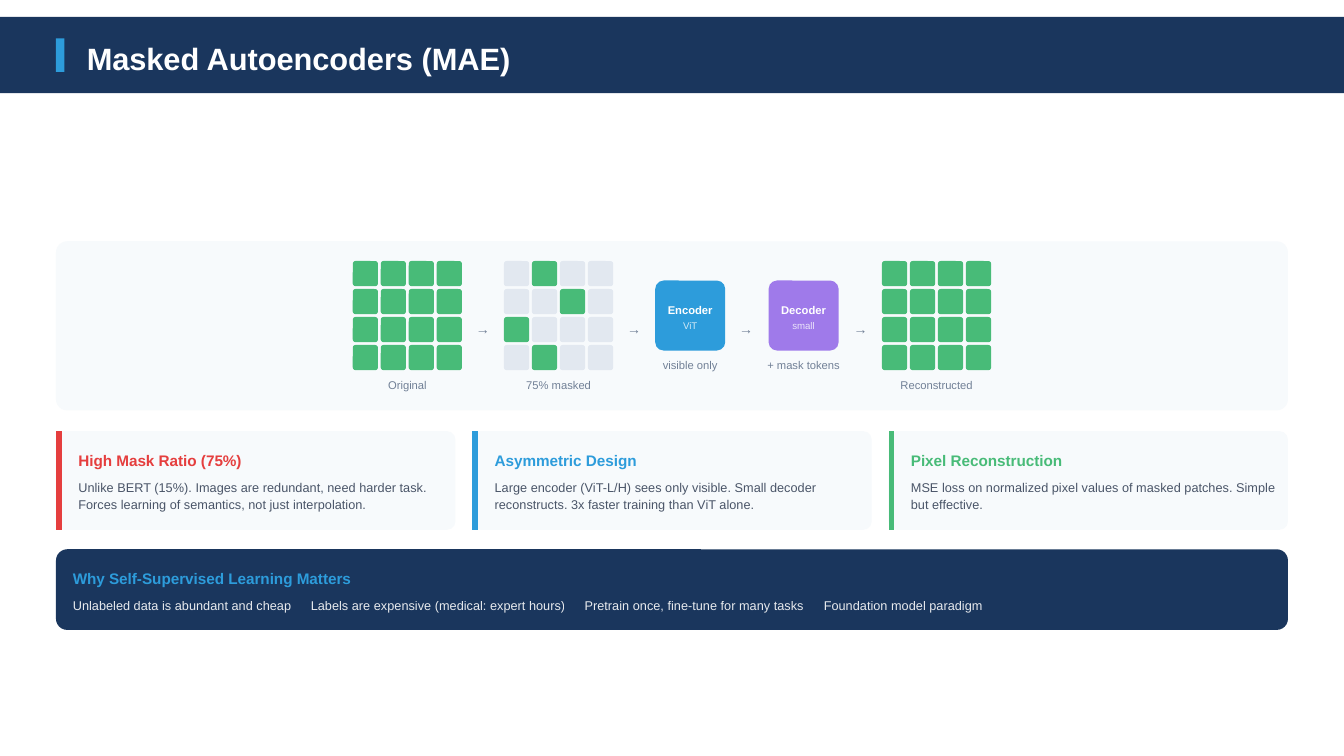
from lxml import etree
from pptx import Presentation
from pptx import util as u
from pptx.dml.color import RGBColor
from pptx.enum import shapes, text
from pptx.oxml import ns

COLS, ROWS = 240, 135
INK = dict(navy="1A365D", blue="2D9CDB", green="48BB78", red="E53E3E",
           violet="9F7AEA", pale="F7FAFC", blank="E2E8F0", gray="718096",
           slate="4A5568", white="FFFFFF")
HEAD = dict(size=8.2, bold=True)
BODY = dict(size=6.8)
NOTE = dict(size=6)

deck = Presentation()
deck.slide_width, deck.slide_height = u.Inches(10), u.Inches(5.625)
unit = deck.slide_width / COLS
slide = deck.slides.add_slide(deck.slide_layouts[6])
items = slide.shapes


def box(x, y, w, h, ink, round=0):
    """Add a plain filled block; round is the corner radius in grid units."""
    kind = shapes.MSO_SHAPE.ROUNDED_RECTANGLE if round else shapes.MSO_SHAPE.RECTANGLE
    block = items.add_shape(kind, *[int(n * unit) for n in (x, y, w, h)])
    if round:
        block.adjustments[0] = round / min(w, h)
    block.shadow.inherit = False
    block.fill.solid()
    block.fill.fore_color.rgb = RGBColor.from_string(INK[ink])
    block.line.fill.background()


def write(words, x, y, w, h, ink, lead, style, mid=False, alpha=None):
    """Add text; lead is line spacing in points, mid centres it on x."""
    left = x - w / 2 if mid else x
    area = items.add_textbox(*[int(n * unit) for n in (left, y, w, h)])
    frame = area.text_frame
    for name, value in dict(margin_left=0, margin_right=0, margin_top=0,
                            margin_bottom=0, word_wrap=True).items():
        setattr(frame, name, value)
    line = frame.paragraphs[0]
    line.alignment = text.PP_ALIGN.CENTER if mid else text.PP_ALIGN.LEFT
    line.line_spacing = u.Pt(lead)
    run = line.add_run()
    run.text = words
    for name, value in dict(style, name="Arial").items():
        setattr(run.font, name, u.Pt(value) if name == "size" else value)
    run.font.color.rgb = RGBColor.from_string(INK[ink])
    if alpha:
        tone = run.font.fill._xPr.find(ns.qn("a:solidFill"))[0]
        etree.SubElement(tone, ns.qn("a:alpha"), val=str(alpha * 1000))


# Title band
box(0, 3, COLS, 13.66, "navy")
box(10, 6.86, 1.5, 6, "blue")
write("Masked Autoencoders (MAE)", 15.5, 6, 80, 7.7, "white", 23.1,
      dict(size=16.5, bold=True))

# Pipeline panel
box(10, 43.1, 220, 30.2, "pale", 2)
full = ["####"] * 4
masked = [".#..", "..#.", "#...", ".#.."]
tile, step, top = 4.5, 5, 46.62
for left, grid, label in [(63, full, "Original"), (90, masked, "75% masked"),
                          (157.5, full, "Reconstructed")]:
    for row, marks in enumerate(grid):
        for col, mark in enumerate(marks):
            box(left + col * step, top + row * step, tile, tile,
                "green" if mark == "#" else "blank", 0.5)
    write(label, left + (3 * step + tile) / 2, 67.2, 16, 2.9, "gray", 8.4, NOTE, True)

side = 12.5
for left, ink, name, sub, label in [
        (117, "blue", "Encoder", "ViT", "visible only"),
        (137.25, "violet", "Decoder", "small", "+ mask tokens")]:
    mid = left + side / 2
    box(left, 50.1, side, side, ink, 1.5)
    write(name, mid, 53.8, 11, 2.9, "white", 8.4, dict(NOTE, bold=True), True)
    write(sub, mid, 56.7, 8, 2.4, "white", 7.3, dict(size=5.2), True, 80)
    write(label, mid, 63.65, 16, 2.9, "gray", 8.4, NOTE, True)

for mid in (86.25, 113.25, 133.25, 153.7):
    write("→", mid, 56.7, 4, 3.6, "gray", 10.5, dict(size=7.5), True)

# Three cards
gap = 3
wide = (220 - 2 * gap) / 3
high, top = 17.6, 77
cards = [
    ("red", "High Mask Ratio (75%)",
     "Unlike BERT (15%). Images are redundant, need harder task. "
     "Forces learning of semantics, not just interpolation."),
    ("blue", "Asymmetric Design",
     "Large encoder (ViT-L/H) sees only visible. Small decoder "
     "reconstructs. 3x faster training than ViT alone."),
    ("green", "Pixel Reconstruction",
     "MSE loss on normalized pixel values of masked patches. "
     "Simple but effective."),
]
for i, (ink, head, body) in enumerate(cards):
    left = 10 + i * (wide + gap)
    box(left, top, wide, high, "pale", 1.5)
    edge = int((left + 0.5) * unit)
    bar = items.add_connector(shapes.MSO_CONNECTOR.STRAIGHT, edge, int(top * unit),
                              edge, int((top + high) * unit))
    bar.line.color.rgb = RGBColor.from_string(INK[ink])
    bar.line.width = u.Pt(3)
    etree.SubElement(bar._element.spPr, ns.qn("a:effectLst"))
    write(head, left + 4, top + 3, 65.5, 3.9, ink, 11.6, HEAD)
    write(body, left + 4, top + 8.2, 65.5, 6.3, "slate", 9.4, BODY)

# Closing banner
box(10, 98.1, 220, 14.4, "navy", 2)
write("Why Self-Supervised Learning Matters", 13, 101.1, 214, 3.9, "blue", 11.6, HEAD)
for left, wide, words in [
        (13, 41, "Unlabeled data is abundant and cheap"),
        (55.5, 47, "Labels are expensive (medical: expert hours)"),
        (104.4, 41, "Pretrain once, fine-tune for many tasks"),
        (147.1, 30, "Foundation model paradigm")]:
    write(words, left, 106.3, wide, 3.1, "white", 9.4, BODY, alpha=90)

deck.save("out.pptx")
